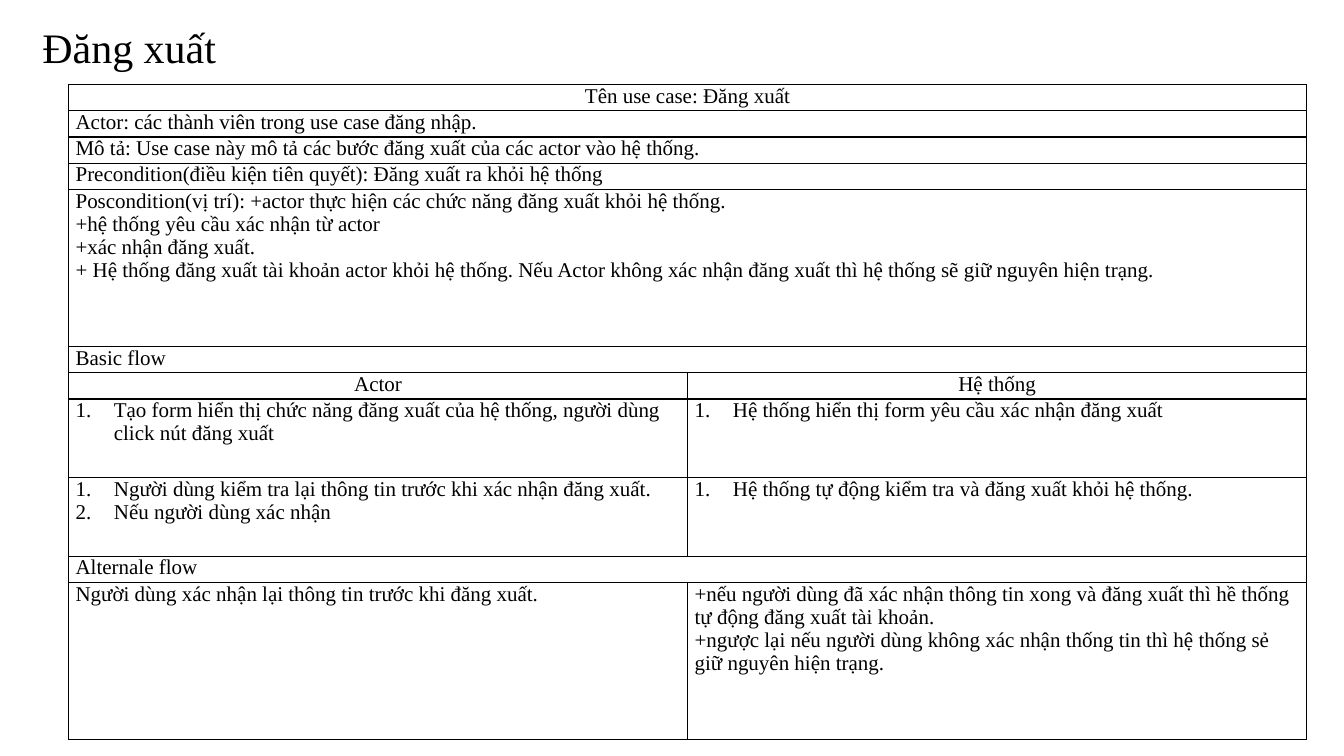
from dataclasses import dataclass

from lxml import etree
from pptx import Presentation
from pptx.dml.color import RGBColor
from pptx.enum.text import MSO_ANCHOR, MSO_AUTO_SIZE, PP_ALIGN
from pptx.oxml.ns import qn
from pptx.util import Inches, Pt

LEFT, CENTER = PP_ALIGN.LEFT, PP_ALIGN.CENTER
TOP = MSO_ANCHOR.TOP
GROW = MSO_AUTO_SIZE.SHAPE_TO_FIT_TEXT


@dataclass(frozen=True)
class Theme:
    font: str = "Times New Roman"
    ink: RGBColor = RGBColor(0, 0, 0)
    paper: RGBColor = RGBColor(255, 255, 255)
    title_size: int = 30
    table_size: int = 15
    border_width: int = 1


@dataclass(frozen=True)
class UseCaseRow:
    """One table row; a single cell spans both columns."""
    cells: tuple[tuple[str, ...], ...]
    lines: int = 1
    alignment: PP_ALIGN = LEFT
    numbered: bool = False


THEME = Theme()
LINE_HEIGHT = 0.26
COLUMN_WIDTH = 6.14
NUMBER_INDENT = 0.38
CELL_FORMAT = {
    "margin_left": Inches(0.07), "margin_right": Inches(0.07),
    "margin_top": 0, "margin_bottom": 0, "vertical_anchor": TOP,
}
TITLE_BOX = {
    "left": Inches(0.32), "top": Inches(0.16),
    "width": Inches(2.29), "height": Inches(0.61),
}
TITLE_FRAME = {
    "word_wrap": True, "auto_size": GROW, "vertical_anchor": TOP,
    "margin_left": Inches(0.1), "margin_right": Inches(0.1),
    "margin_top": Inches(0.05), "margin_bottom": Inches(0.05),
}

ROWS = (
    UseCaseRow((("Tên use case: Đăng xuất",),), alignment=CENTER),
    UseCaseRow((("Actor: các thành viên trong use case đăng nhập.",),)),
    UseCaseRow((("Mô tả: Use case này mô tả các bước đăng xuất của các actor vào hệ thống.",),)),
    UseCaseRow((("Precondition(điều kiện tiên quyết): Đăng xuất ra khỏi hệ thống",),)),
    UseCaseRow(((
        "Poscondition(vị trí): +actor thực hiện các chức năng đăng xuất khỏi hệ thống.",
        "+hệ thống yêu cầu xác nhận từ actor",
        "+xác nhận đăng xuất.",
        "+ Hệ thống đăng xuất tài khoản actor khỏi hệ thống. Nếu Actor không xác nhận "
        "đăng xuất thì hệ thống sẽ giữ nguyên hiện trạng.",
    ),), lines=6),
    UseCaseRow((("Basic flow",),)),
    UseCaseRow((("Actor",), ("Hệ thống",)), alignment=CENTER),
    UseCaseRow((
        ("Tạo form hiển thị chức năng đăng xuất của hệ thống, người dùng click nút đăng xuất",),
        ("Hệ thống hiển thị form yêu cầu xác nhận đăng xuất",),
    ), lines=3, numbered=True),
    UseCaseRow((
        ("Người dùng kiểm tra lại thông tin trước khi xác nhận đăng xuất.",
         "Nếu người dùng xác nhận"),
        ("Hệ thống tự động kiểm tra và đăng xuất khỏi hệ thống.",),
    ), lines=3, numbered=True),
    UseCaseRow((("Alternale flow",),)),
    UseCaseRow((
        ("Người dùng xác nhận lại thông tin trước khi đăng xuất.",),
        ("+nếu người dùng đã xác nhận thông tin xong và đăng xuất thì hề thống "
         "tự động đăng xuất tài khoản.",
         "+ngược lại nếu người dùng không xác nhận thống tin thì hệ thống sẻ "
         "giữ nguyên hiện trạng."),
    ), lines=6),
)


def apply_format(target, values: dict) -> None:
    for name, value in values.items():
        setattr(target, name, value)


def write_paragraph(paragraph, text: str, size: int, alignment: PP_ALIGN) -> None:
    paragraph.alignment = alignment
    run = paragraph.add_run()
    run.text = text
    apply_format(run.font, {"name": THEME.font, "size": Pt(size), "bold": False})
    run.font.color.rgb = THEME.ink


def number_paragraph(paragraph) -> None:
    properties = paragraph._p.get_or_add_pPr()
    indent = Inches(NUMBER_INDENT)
    properties.set("marL", str(indent))
    properties.set("indent", str(-indent))
    etree.SubElement(properties, qn("a:buAutoNum"), type="arabicPeriod")


def style_cell(cell) -> None:
    apply_format(cell, CELL_FORMAT)
    cell.fill.solid()
    cell.fill.fore_color.rgb = THEME.paper
    properties = cell._tc.get_or_add_tcPr()
    # Border lines come before the fill
    for position, side in enumerate(("lnL", "lnR", "lnT", "lnB")):
        line = etree.Element(qn(f"a:{side}"), w=str(Pt(THEME.border_width)))
        fill = etree.SubElement(line, qn("a:solidFill"))
        etree.SubElement(fill, qn("a:srgbClr"), val=str(THEME.ink))
        properties.insert(position, line)


def add_title(slide, text: str) -> None:
    title = slide.shapes.title
    apply_format(title, TITLE_BOX)
    apply_format(title.text_frame, TITLE_FRAME)
    write_paragraph(title.text_frame.paragraphs[0], text, THEME.title_size, LEFT)


def fill_row(table, index: int, row: UseCaseRow) -> None:
    table.rows[index].height = Inches(LINE_HEIGHT * row.lines)
    for column in range(2):
        style_cell(table.cell(index, column))
    if len(row.cells) == 1:
        table.cell(index, 0).merge(table.cell(index, 1))
    for column, texts in enumerate(row.cells):
        frame = table.cell(index, column).text_frame
        for number, text in enumerate(texts):
            paragraph = frame.add_paragraph() if number else frame.paragraphs[0]
            write_paragraph(paragraph, text, THEME.table_size, row.alignment)
            if row.numbered:
                number_paragraph(paragraph)


def add_use_case_table(slide, rows: tuple[UseCaseRow, ...]) -> None:
    height = LINE_HEIGHT * sum(row.lines for row in rows)
    table = slide.shapes.add_table(
        len(rows), 2, Inches(0.68), Inches(0.84),
        Inches(2 * COLUMN_WIDTH), Inches(height),
    ).table
    apply_format(table, {"first_row": False, "horz_banding": False})
    for index, row in enumerate(rows):
        fill_row(table, index, row)


def main() -> None:
    presentation = Presentation()
    apply_format(presentation, {"slide_width": Inches(13.33), "slide_height": Inches(7.5)})
    # Title-only layout
    slide = presentation.slides.add_slide(presentation.slide_layouts[5])
    add_title(slide, "Đăng xuất")
    add_use_case_table(slide, ROWS)
    presentation.save("out.pptx")


if __name__ == "__main__":
    main()
